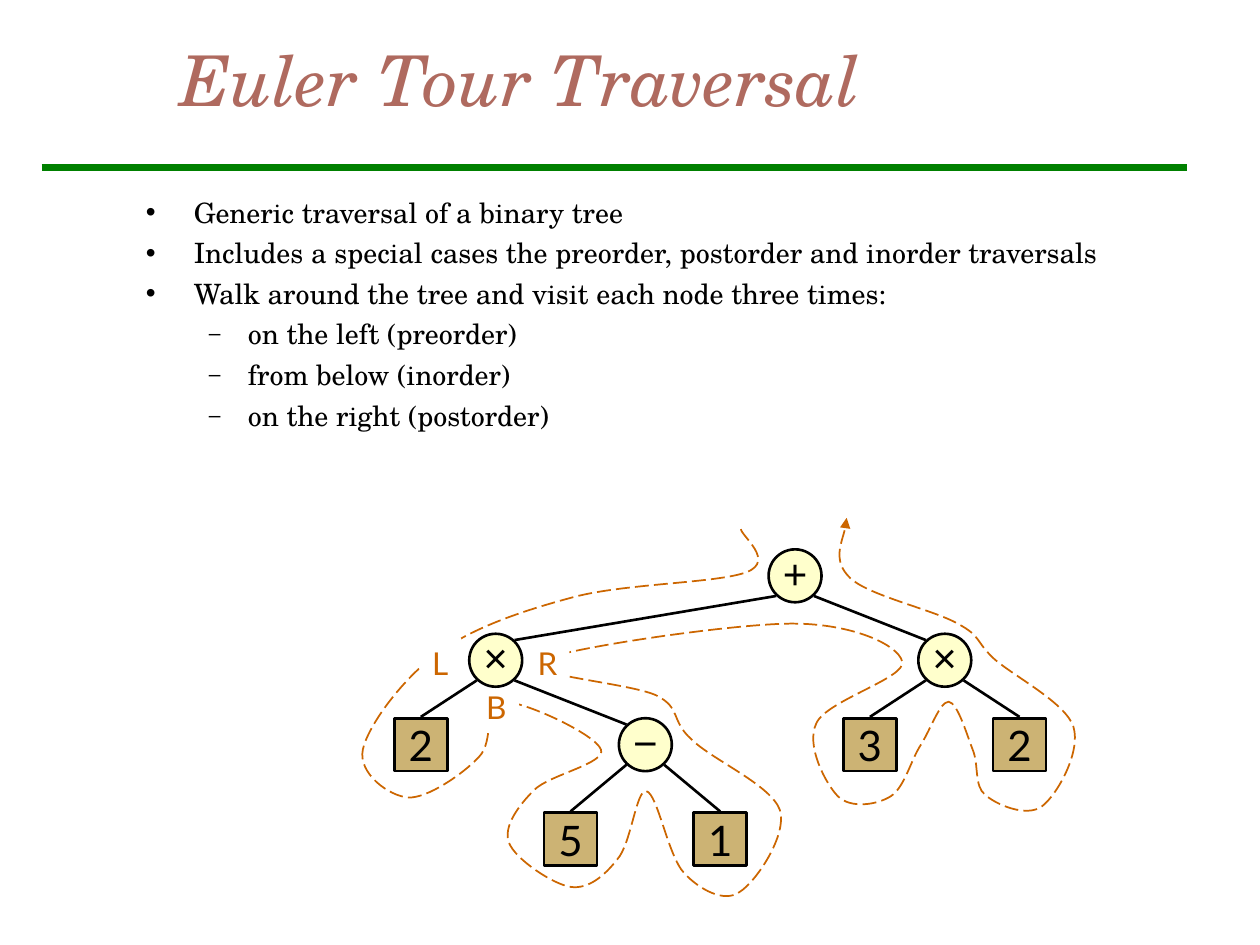
from lxml import etree
from pptx import Presentation
from pptx import util as u
from pptx.dml.color import RGBColor
from pptx.enum import dml, shapes, text
from pptx.oxml import ns
from pptx.util import Inches

COLORS = {"title": "AF6A5F", "rule": "008000", "ink": "000000", "inner": "FFFFCC",
          "leaf": "CCB374", "tour": "CC6600", "paper": "FFFFFF"}
color = {part: RGBColor.from_string(value) for part, value in COLORS.items()}
SERIF = "TeX Gyre Schola"

prs = Presentation()
prs.slide_width, prs.slide_height = Inches(10), Inches(7.5)
slide = prs.slides.add_slide(prs.slide_layouts[5])


def add_line(start, end, ink, width):
    line = slide.shapes.add_connector(shapes.MSO_CONNECTOR.STRAIGHT,
                                      *[Inches(v) for v in (*start, *end)])
    line.line.color.rgb = ink
    line.line.width = u.Pt(width)
    etree.SubElement(line._element.spPr, ns.qn("a:effectLst"))


def add_symbol(preset, box, fill, symbol, font, size, ink, insets):
    """Add a filled shape with one centred symbol; insets are left, top, right, bottom."""
    shape = slide.shapes.add_shape(preset, *[Inches(v) for v in box])
    shape.shadow.inherit = False
    shape.fill.solid()
    shape.fill.fore_color.rgb = fill
    frame = shape.text_frame
    frame.word_wrap = False
    frame.vertical_anchor = text.MSO_ANCHOR.MIDDLE
    (frame.margin_left, frame.margin_top,
     frame.margin_right, frame.margin_bottom) = [Inches(v) for v in insets]
    frame.text = symbol
    paragraph = frame.paragraphs[0]
    paragraph.alignment = text.PP_ALIGN.CENTER
    run_font = paragraph.runs[0].font
    run_font.name, run_font.size, run_font.color.rgb = font, u.Pt(size), ink
    return shape


# Title and rule
add_line((0.33, 1.33), (9.42, 1.33), color["rule"], 4)
title = slide.shapes.title
title.left, title.top, title.width, title.height = [Inches(v) for v in (1.33, 0, 8.5, 1.25)]
title.text_frame.text = "Euler Tour Traversal"
title.text_frame.auto_size = text.MSO_AUTO_SIZE.NONE
title.text_frame.vertical_anchor = text.MSO_ANCHOR.MIDDLE
heading = title.text_frame.paragraphs[0]
heading.alignment = text.PP_ALIGN.LEFT
heading_font = heading.runs[0].font
heading_font.name, heading_font.size, heading_font.italic = SERIF, u.Pt(40), True
heading_font.color.rgb = color["title"]

# Bullets: level, text
points = [
    (0, "Generic traversal of a binary tree"),
    (0, "Includes a special cases the preorder, postorder and inorder traversals"),
    (0, "Walk around the tree and visit each node three times:"),
    (1, "on the left (preorder)"),
    (1, "from below (inorder)"),
    (1, "on the right (postorder)"),
]
levels = [(0.38, -0.38, "•", 100), (0.81, -0.31, "–", 75)]  # margin, indent, mark, mark size
body = slide.shapes.add_textbox(Inches(1.06), Inches(1.5), Inches(8.19), Inches(2.52)).text_frame
body.word_wrap = True
body.text = "\n".join(words for _, words in points)
for i, (paragraph, (level, _)) in enumerate(zip(body.paragraphs, points)):
    margin, indent, mark, mark_size = levels[level]
    paragraph.level = level
    paragraph.space_before = u.Pt(4 if i else 0)
    props = paragraph._p.get_or_add_pPr()
    props.set("marL", str(Inches(margin)))
    props.set("indent", str(Inches(indent)))
    etree.SubElement(props, ns.qn("a:buSzPct")).set("val", str(mark_size * 1000))
    etree.SubElement(props, ns.qn("a:buFont")).set("typeface", "Arial")
    etree.SubElement(props, ns.qn("a:buChar")).set("char", mark)
    font = paragraph.runs[0].font
    font.name, font.size, font.color.rgb = SERIF, u.Pt(16), color["ink"]

# Tour: a start point, then cubic curves of two control points and an end point
tour_start = (5.88, 4.2)
tour_curves = [
    (5.89, 4.26, 6.15, 4.45, 5.93, 4.54), (5.7, 4.63, 4.96, 4.63, 4.55, 4.74),
    (4.14, 4.85, 3.76, 4.98, 3.48, 5.18), (3.2, 5.38, 2.92, 5.76, 2.88, 5.95),
    (2.84, 6.14, 3.09, 6.32, 3.24, 6.33), (3.39, 6.34, 3.68, 6.14, 3.8, 6.01),
    (3.93, 5.88, 3.83, 5.58, 3.99, 5.57), (4.15, 5.56, 4.73, 5.83, 4.77, 5.95),
    (4.81, 6.06, 4.36, 6.15, 4.24, 6.27), (4.12, 6.39, 3.99, 6.56, 4.04, 6.69),
    (4.09, 6.82, 4.39, 7.02, 4.53, 7.04), (4.67, 7.06, 4.8, 6.95, 4.9, 6.82),
    (5.01, 6.7, 5.05, 6.26, 5.13, 6.28), (5.22, 6.3, 5.3, 6.79, 5.43, 6.93),
    (5.55, 7.06, 5.75, 7.17, 5.87, 7.08), (6, 7, 6.25, 6.63, 6.19, 6.43),
    (6.12, 6.23, 5.65, 6.03, 5.49, 5.87), (5.32, 5.72, 5.41, 5.62, 5.21, 5.52),
    (5, 5.42, 4.09, 5.35, 4.27, 5.25), (4.45, 5.15, 5.81, 4.95, 6.29, 4.95),
    (6.77, 4.95, 7.13, 5.12, 7.16, 5.25), (7.2, 5.38, 6.56, 5.56, 6.48, 5.74),
    (6.39, 5.92, 6.56, 6.23, 6.65, 6.32), (6.75, 6.42, 6.96, 6.39, 7.07, 6.32),
    (7.18, 6.25, 7.23, 6.03, 7.31, 5.91), (7.39, 5.78, 7.46, 5.57, 7.53, 5.57),
    (7.6, 5.58, 7.67, 5.82, 7.72, 5.95), (7.77, 6.07, 7.73, 6.24, 7.82, 6.31),
    (7.91, 6.39, 8.15, 6.49, 8.27, 6.4), (8.39, 6.31, 8.58, 5.97, 8.52, 5.77),
    (8.46, 5.58, 8.05, 5.37, 7.89, 5.23), (7.74, 5.09, 7.79, 5.05, 7.6, 4.95),
    (7.41, 4.84, 6.9, 4.73, 6.75, 4.59), (6.6, 4.45, 6.72, 4.22, 6.72, 4.11),
]
# The builder rounds to whole units, so points are given in EMU
builder = slide.shapes.build_freeform(*[Inches(v) for v in tour_start])
builder.add_line_segments([(Inches(curve[i]), Inches(curve[i + 1]))
                           for curve in tour_curves for i in (0, 2, 4)], close=False)
tour = builder.convert_to_shape()
# Turn every three straight segments into one cubic curve
segments = list(tour._element.iter(ns.qn("a:lnTo")))
for first in range(0, len(segments), 3):
    cubic = etree.SubElement(segments[first].getparent(), ns.qn("a:cubicBezTo"))
    for segment in segments[first:first + 3]:
        cubic.append(segment[0])
        segment.getparent().remove(segment)
tour.shadow.inherit = False
tour.fill.background()
tour.line.color.rgb = color["tour"]
tour.line.width = u.Pt(1)
tour.line.dash_style = dml.MSO_LINE.LONG_DASH
etree.SubElement(tour.line._get_or_add_ln(), ns.qn("a:tailEnd")).set("type", "triangle")

# Visit labels
for letter, left, top, width in [("L", 3.33, 5.06, 0.33), ("B", 3.76, 5.41, 0.36),
                                 ("R", 4.17, 5.06, 0.35)]:
    label = add_symbol(shapes.MSO_SHAPE.RECTANGLE, (left, top, width, 0.4), color["paper"],
                       letter, "Lato", 18, color["tour"], (0.1, 0.05, 0.1, 0.05))
    label.line.fill.background()

# Tree nodes: symbol, column, row, index of the parent
nodes = [("+", 5, 0, None), ("×", 1, 1, 0), ("×", 7, 1, 0), ("2", 0, 2, 1), ("−", 3, 2, 1),
         ("3", 6, 2, 2), ("2", 8, 2, 2), ("5", 2, 3, 4), ("1", 4, 3, 4)]
NODE = 0.42
ROW_CENTERS = [4.57, 5.24, 5.91, 6.66]
centers = [(3.34 + 0.594 * column, ROW_CENTERS[row]) for _, column, row, _ in nodes]

for (symbol, _, _, parent), (x, y) in zip(nodes, centers):
    if parent is None:
        continue
    parent_x, parent_y = centers[parent]
    reach = 0.15 if x > parent_x else -0.15
    end = (x, y - NODE / 2 - 0.01) if symbol.isdigit() else (x - reach, y - 0.16)
    add_line((parent_x + reach, parent_y + 0.16), end, color["ink"], 1.5)

for (symbol, *_), (x, y) in zip(nodes, centers):
    box = (x - NODE / 2, y - NODE / 2, NODE, NODE)
    if symbol.isdigit():
        node = add_symbol(shapes.MSO_SHAPE.RECTANGLE, box, color["leaf"], symbol, "Lato", 24,
                          color["ink"], (0.1, 0.05, 0.1, 0.05))
    else:
        node = add_symbol(shapes.MSO_SHAPE.OVAL, box, color["inner"], symbol, "Arial", 24,
                          color["ink"], (0, 0, 0, 0.05))
    node.line.color.rgb = color["ink"]
    node.line.width = u.Pt(1.5)

prs.save("out.pptx")
